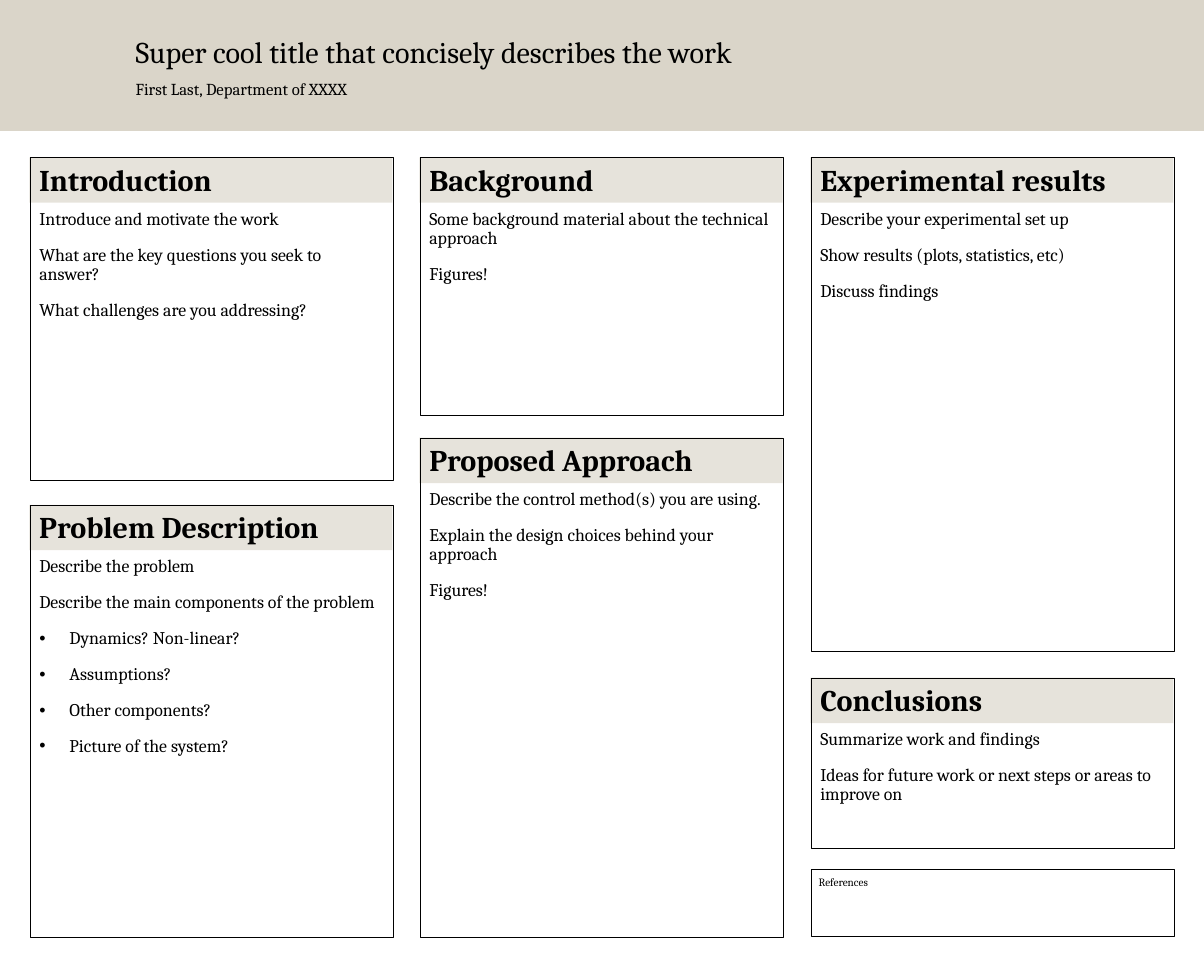
"""Build a three-column research poster template with titled panels."""
from lxml.etree import SubElement
from pptx import Presentation
from pptx.dml.color import RGBColor
from pptx.enum.shapes import MSO_SHAPE
from pptx.oxml.ns import qn
from pptx.util import Pt

SCALE = 9144
FONT = "Cambria"
COLORS = {"gold": "85754D", "black": "000000"}
BULLET = "• "
BULLET_INDENT = 75

LEFT, MIDDLE, RIGHT = 73, 1045, 2019
BAND_WIDTH, BAND_HEIGHT = 905, 113
FRAME_WIDTH = 904
FRAME_SHIFT = 3

PANELS = [
    (LEFT, 392, 804, "Introduction", [
        "Introduce and motivate the work",
        "What are the key questions you seek to answer?",
        "What challenges are you addressing?"]),
    (MIDDLE, 392, 643, "Background", [
        "Some background material about the technical approach",
        "Figures!"]),
    (RIGHT, 392, 1230, "Experimental results", [
        "Describe your experimental set up",
        "Show results (plots, statistics, etc)",
        "Discuss findings"]),
    (LEFT, 1258, 1076, "Problem Description", [
        "Describe the problem",
        "Describe the main components of the problem",
        "• Dynamics? Non-linear?",
        "• Assumptions?",
        "• Other components?",
        "• Picture of the system?"]),
    (MIDDLE, 1091, 1243, "Proposed Approach", [
        "Describe the control method(s) you are using.",
        "Explain the design choices behind your approach",
        "Figures!"]),
    (RIGHT, 1689, 423, "Conclusions", [
        "Summarize work and findings",
        "Ideas for future work or next steps or areas to improve on"]),
]


def add_rectangle(shapes, left, top, width, height, opacity=0):
    """Add a translucent gold band, or a black outline when opacity is zero."""
    box = [length * SCALE for length in (left, top, width, height)]
    shape = shapes.add_shape(MSO_SHAPE.RECTANGLE, *box)
    shape.shadow.inherit = False
    if opacity:
        shape.fill.solid()
        shape.fill.fore_color.rgb = RGBColor.from_string(COLORS["gold"])
        color = shape.fill._xPr.find(qn("a:solidFill"))[0]
        SubElement(color, qn("a:alpha"), val=str(opacity * 1000))
        shape.line.fill.background()
    else:
        shape.fill.background()
        shape.line.color.rgb = RGBColor.from_string(COLORS["black"])
        shape.line.width = Pt(1)


def add_text(shapes, left, top, width, height, lines, size, bold=False):
    """Add a text box with one paragraph per line; marked lines get bullets."""
    box = [length * SCALE for length in (left, top, width, height)]
    text_frame = shapes.add_textbox(*box).text_frame
    text_frame.word_wrap = True
    text_frame.text = "\n".join(line.removeprefix(BULLET) for line in lines)
    for paragraph, line in zip(text_frame.paragraphs, lines):
        paragraph.line_spacing = 0.9
        paragraph.space_before = Pt(30)
        font = paragraph.runs[0].font
        font.name = FONT
        font.size = Pt(size)
        font.bold = bold
        font.color.rgb = RGBColor.from_string(COLORS["black"])
        if line.startswith(BULLET):
            properties = paragraph._p.get_or_add_pPr()
            properties.set("marL", str(BULLET_INDENT * SCALE))
            properties.set("indent", str(-BULLET_INDENT * SCALE))
            SubElement(properties, qn("a:buFont"), typeface="Arial")
            SubElement(properties, qn("a:buChar"), char=BULLET.strip())


presentation = Presentation()
presentation.slide_width = 3000 * SCALE
presentation.slide_height = 2400 * SCALE
slide = presentation.slides.add_slide(presentation.slide_layouts[6])

add_rectangle(slide.shapes, 0, 0, 3000, 326, opacity=30)
add_text(slide.shapes, 328, 89, 2350, 217,
         ["Super cool title that concisely describes the work"], 54)
add_text(slide.shapes, 328, 198, 1845, 44, ["First Last, Department of XXXX"], 30)

for left, top, height, heading, lines in PANELS:
    shapes = slide.shapes.add_group_shape().shapes
    add_rectangle(shapes, left, top, BAND_WIDTH, BAND_HEIGHT, opacity=20)
    add_text(shapes, left + 15, top + 15, 880, 98, [heading], 54, bold=True)
    add_text(shapes, left + 15, top + 126, 882, height - 130, lines, 32)
    add_rectangle(shapes, left + FRAME_SHIFT, top + 1, FRAME_WIDTH, height)

add_rectangle(slide.shapes, RIGHT + FRAME_SHIFT, 2167, FRAME_WIDTH, 167)
add_text(slide.shapes, 2030, 2180, 882, 131, ["References"], 20)

presentation.save("out.pptx")
